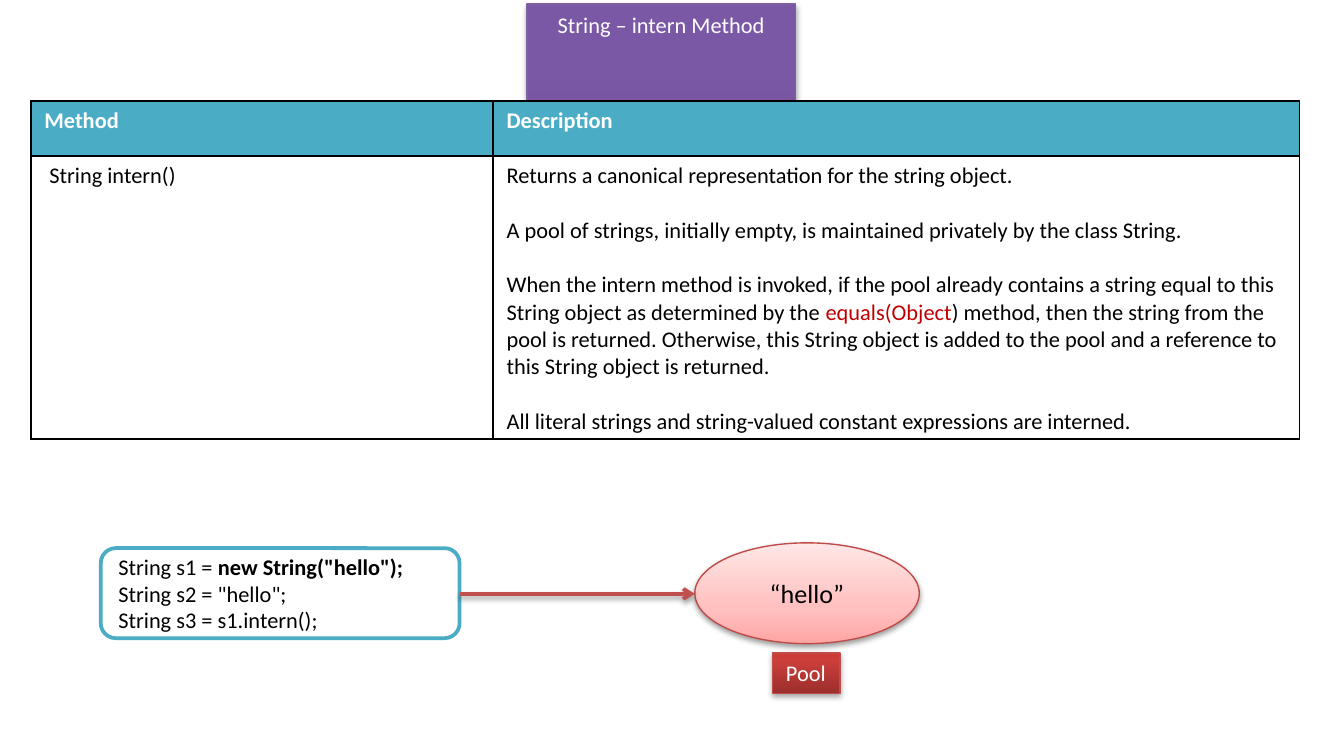
from dataclasses import dataclass

from lxml.etree import SubElement
from pptx import Presentation
from pptx.dml.color import RGBColor
from pptx.enum.shapes import MSO_CONNECTOR, MSO_SHAPE
from pptx.enum.text import MSO_ANCHOR, MSO_AUTO_SIZE, PP_ALIGN
from pptx.oxml.ns import qn
from pptx.util import Inches, Pt


@dataclass(frozen=True)
class Theme:
    font: str = "Calibri"
    size: int = 12
    pool_size: int = 14
    gap: float = 14.6
    black: str = "000000"
    white: str = "FFFFFF"
    teal: str = "4BACC6"
    accent: str = "C00000"
    arrow: str = "C0504D"
    purple_line: str = "7D60A0"
    red_line: str = "BF4C48"
    purple: tuple = ((0, "5F4480"), (80, "7B58A6"), (100, "7C57A8"))
    pink: tuple = ((0, "FFA6A5"), (35, "FFC0BF"), (100, "FFE7E7"))
    red: tuple = ((0, "9C2F2D"), (80, "CB3E3A"), (100, "CE3B37"))


T = Theme()

HEADERS = ("Method", "Description")
DESCRIPTION = (
    "Returns a canonical representation for the string object.",
    "A pool of strings, initially empty, is maintained privately by the class String.",
    (
        "When the intern method is invoked, if the pool already contains a string equal "
        "to this String object as determined by the ",
        ("equals(Object", {"color": T.accent}),
        ") method, then the string from the pool is returned. Otherwise, this String "
        "object is added to the pool and a reference to this String object is returned.",
    ),
    "All literal strings and string-valued constant expressions are interned.",
)
CODE = (
    ("String s1 = ", ('new String("hello");', {"bold": True})),
    'String s2 = "hello";',
    "String s3 = s1.intern();",
)


def write(tf, paragraphs, size=T.size, color=T.black, bold=False,
          align=PP_ALIGN.LEFT, gap=0):
    for i, runs in enumerate(paragraphs):
        p = tf.paragraphs[0] if i == 0 else tf.add_paragraph()
        p.alignment = align
        p.space_before = Pt(gap if i else 0)
        for run in (runs,) if isinstance(runs, str) else runs:
            text, look = (run, {}) if isinstance(run, str) else run
            r = p.add_run()
            r.text = text
            r.font.name = T.font
            r.font.size = Pt(size)
            r.font.bold = look.get("bold", bold)
            r.font.color.rgb = RGBColor.from_string(look.get("color", color))


def set_fill(fill, color):
    fill.solid()
    fill.fore_color.rgb = RGBColor.from_string(color)


def set_line(line, color, width):
    set_fill(line.fill, color)
    line.width = Pt(width)


def set_gradient(s, stops):
    s.fill.gradient()
    s.fill.gradient_angle = 90
    gs_list = s._element.spPr.find(qn("a:gradFill")).find(qn("a:gsLst"))
    gs_list.clear()
    for pos, color in stops:
        gs = SubElement(gs_list, qn("a:gs"), pos=str(pos * 1000))
        SubElement(gs, qn("a:srgbClr"), val=color)


def add_shadow(s, dist=1.8, opacity=35):
    effects = SubElement(s._element.spPr, qn("a:effectLst"))
    shadow = SubElement(effects, qn("a:outerShdw"), blurRad=str(Pt(3.1)),
                        dist=str(Pt(dist)), dir="5400000", rotWithShape="0")
    color = SubElement(shadow, qn("a:srgbClr"), val=T.black)
    SubElement(color, qn("a:alpha"), val=str(opacity * 1000))


def add_box(slide, kind, x, y, w, h):
    s = slide.shapes.add_shape(kind, Inches(x), Inches(y), Inches(w), Inches(h))
    s.text_frame.vertical_anchor = MSO_ANCHOR.MIDDLE
    return s


def style_glossy(s, stops, line, **shadow):
    set_gradient(s, stops)
    set_line(s.line, line, 0.75)
    add_shadow(s, **shadow)


def add_title(slide, text):
    s = slide.shapes.title
    s.left, s.top, s.width, s.height = (Inches(v) for v in (3.92, 0.03, 2, 0.3))
    style_glossy(s, T.purple, T.purple_line)
    tf = s.text_frame
    tf.vertical_anchor = MSO_ANCHOR.TOP
    tf.auto_size = MSO_AUTO_SIZE.SHAPE_TO_FIT_TEXT
    write(tf, [text], color=T.white, align=PP_ALIGN.CENTER)


def set_borders(cell):
    tc_pr = cell._tc.get_or_add_tcPr()
    for i, side in enumerate(("lnL", "lnR", "lnT", "lnB")):
        ln = SubElement(tc_pr, qn(f"a:{side}"), w=str(Pt(1)))
        SubElement(SubElement(ln, qn("a:solidFill")), qn("a:srgbClr"), val=T.black)
        tc_pr.insert(i, ln)


def add_method_table(slide):
    table = slide.shapes.add_table(2, 2, Inches(0.23), Inches(0.75),
                                   Inches(9.44), Inches(2.51)).table
    for column, width in zip(table.columns, (3.44, 6)):
        column.width = Inches(width)
    for row, height in zip(table.rows, (0.41, 2.1)):
        row.height = Inches(height)
    for i, header in enumerate(HEADERS):
        write(table.cell(0, i).text_frame, [header], color=T.white, bold=True)
        set_fill(table.cell(0, i).fill, T.teal)
        set_fill(table.cell(1, i).fill, T.white)
    write(table.cell(1, 0).text_frame, [" String intern()"])
    write(table.cell(1, 1).text_frame, DESCRIPTION, gap=T.gap)
    for cell in table.iter_cells():
        set_borders(cell)


def add_code(slide):
    s = add_box(slide, MSO_SHAPE.ROUNDED_RECTANGLE, 0.75, 4.08, 2.67, 0.67)
    s.shadow.inherit = False
    set_fill(s.fill, T.white)
    set_line(s.line, T.teal, 2)
    write(s.text_frame, CODE)


def add_pool(slide):
    s = add_box(slide, MSO_SHAPE.OVAL, 5.17, 4.04, 1.67, 0.75)
    style_glossy(s, T.pink, T.red_line, dist=1.6, opacity=38)
    write(s.text_frame, ["“hello”"], size=T.pool_size, align=PP_ALIGN.CENTER)

    s = add_box(slide, MSO_SHAPE.RECTANGLE, 5.75, 4.86, 0.5, 0.3)
    style_glossy(s, T.red, T.red_line)
    tf = s.text_frame
    tf.word_wrap = False
    tf.auto_size = MSO_AUTO_SIZE.SHAPE_TO_FIT_TEXT
    tf.vertical_anchor = MSO_ANCHOR.TOP
    write(tf, ["Pool"], color=T.white)


def add_arrow(slide, x1, x2, y):
    s = slide.shapes.add_connector(MSO_CONNECTOR.STRAIGHT, Inches(x1), Inches(y),
                                   Inches(x2), Inches(y))
    set_line(s.line, T.arrow, 2)
    SubElement(s.line._get_or_add_ln(), qn("a:tailEnd"), type="arrow")
    add_shadow(s, dist=1.6, opacity=38)


def main():
    prs = Presentation()
    prs.slide_width, prs.slide_height = Inches(10), Inches(5.5)
    slide = prs.slides.add_slide(prs.slide_layouts[5])
    add_title(slide, "String – intern Method")
    add_method_table(slide)
    add_code(slide)
    add_pool(slide)
    add_arrow(slide, 3.42, 5.17, 4.42)
    prs.save("out.pptx")


if __name__ == "__main__":
    main()
